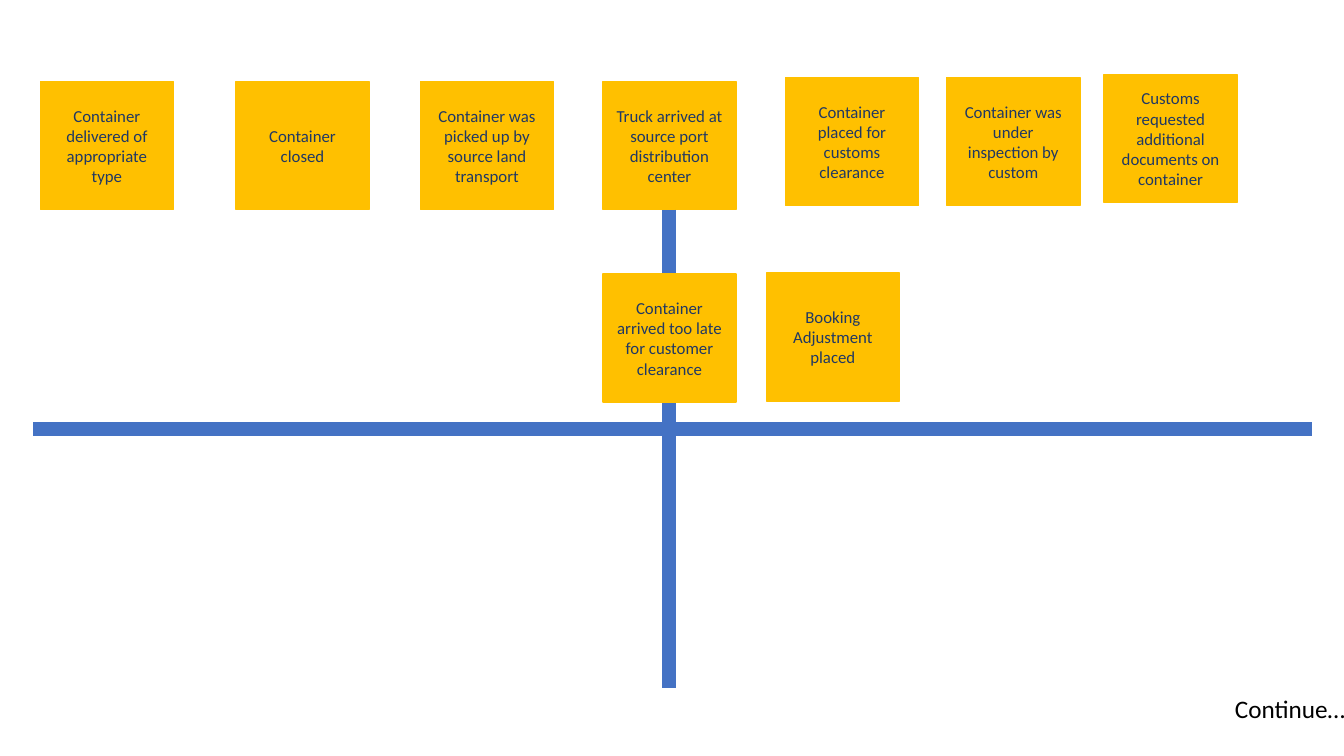
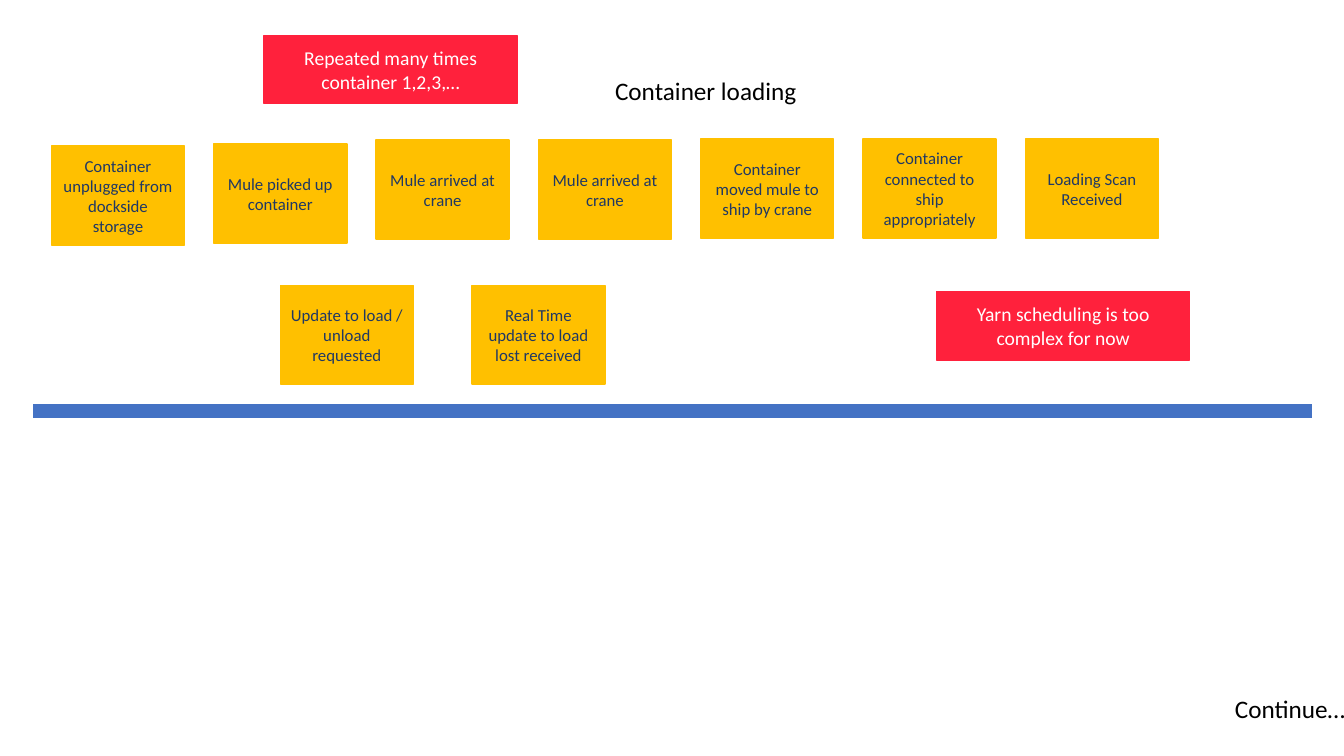
from lxml import etree
from pptx import Presentation, util as u
from pptx.dml.color import RGBColor
from pptx.enum import shapes, text
from pptx.oxml.ns import qn

PX = 9144  # EMU per px, 100 px to the inch
TITLE_ONLY, BLANK = 5, 6
AMBER, RED, BLUE = "FFC000", "FF213C", "4472C4"
NAVY, WHITE, BLACK = "203864", "FFFFFF", "000000"
NOTE_WIDTH = 132


def px(*lengths):
    return [u.Emu(length * PX) for length in lengths]


def color(value):
    return RGBColor.from_string(value)


class Board:
    """Holds the deck, its style and the page being filled."""
    font = "Calibri"

    def __init__(self, width, height):
        self.deck = Presentation()
        self.deck.slide_width, self.deck.slide_height = px(width, height)
        self.page = None

    def new_page(self, layout):
        self.page = self.deck.slides.add_slide(self.deck.slide_layouts[layout])
        self.label("Continue…", 1215, 683, 133, 40)

    def add_words(self, box, words, size, ink, align):
        para = box.text_frame.paragraphs[0]
        para.alignment = align
        span = para.add_run()
        span.text = words
        span.font.name = self.font
        span.font.size = u.Pt(size)
        span.font.color.rgb = color(ink)

    def style_line_of_text(self, box, words):
        """Format a box as one unwrapped line of large text."""
        frame = box.text_frame
        frame.word_wrap = False
        frame.auto_size = text.MSO_AUTO_SIZE.SHAPE_TO_FIT_TEXT
        frame.vertical_anchor = text.MSO_ANCHOR.TOP
        self.add_words(box, words, 18, BLACK, text.PP_ALIGN.LEFT)

    def label(self, words, *place):
        box = self.page.shapes.add_textbox(*px(*place))
        self.style_line_of_text(box, words)

    def title(self, words, *place):
        box = self.page.shapes.title
        box.left, box.top, box.width, box.height = px(*place)
        self.style_line_of_text(box, words)

    def card(self, words, place, fill, size, ink):
        box = self.page.shapes.add_shape(shapes.MSO_SHAPE.RECTANGLE, *px(*place))
        box.shadow.inherit = False
        box.fill.solid()
        box.fill.fore_color.rgb = color(fill)
        box.line.color.rgb = color(fill)
        box.line.width = u.Pt(1)
        box.text_frame.word_wrap = True
        box.text_frame.vertical_anchor = text.MSO_ANCHOR.MIDDLE
        self.add_words(box, words, size, ink, text.PP_ALIGN.CENTER)

    def event(self, words, left, top, height):
        self.card(words, (left, top, NOTE_WIDTH, height), AMBER, 12, NAVY)

    def remark(self, words, left, top):
        self.card(words, (left, top, 251, 68), RED, 14, WHITE)

    def bar(self, *ends):
        line = self.page.shapes.add_connector(shapes.MSO_CONNECTOR.STRAIGHT, *px(*ends))
        line.line.color.rgb = color(BLUE)
        line.line.width = u.Pt(10)
        etree.SubElement(line._element.spPr, qn("a:effectLst"))

    def timeline(self, y):
        self.bar(33, y, 1301, y)


def customs_page(board):
    height = 127
    board.new_page(BLANK)
    board.timeline(426)
    for left, top, words in (
        (40, 81, "Container delivered of appropriate type"),
        (234, 81, "Container closed"),
        (417, 81, "Container was picked up by source land transport"),
        (598, 81, "Truck arrived at source port distribution center"),
        (779, 77, "Container placed for customs clearance"),
        (939, 77, "Container was under inspection by custom"),
        (1095, 74, "Customs requested additional documents on container"),
    ):
        board.event(words, left, top, height)
    board.bar(664, 208, 664, 683)
    board.event("Container arrived too late for customer clearance", 598, 272, height)
    board.event("Booking Adjustment placed", 760, 271, height)


def loading_page(board):
    height, step = 98, 161
    board.new_page(TITLE_ONLY)
    board.title("Container loading", 600, 70, 202, 40)
    for column, (top, words) in enumerate((
        (145, "Container unplugged from dockside storage"),
        (143, "Mule picked up container"),
        (139, "Mule arrived at crane"),
        (139, "Mule arrived at crane"),
        (138, "Container moved mule to ship by crane"),
        (138, "Container connected to ship appropriately"),
        (138, "Loading Scan Received"),
    )):
        board.event(words, 51 + column * step, top, height)
    board.event("Update to load / unload requested", 278, 283, height)
    board.event("Real Time update to load lost received", 468, 283, height)
    board.remark("Repeated many times container 1,2,3,…", 262, 35)
    board.remark("Yarn scheduling is too complex for now", 929, 289)
    board.timeline(408)


def main():
    board = Board(1333, 750)
    customs_page(board)
    loading_page(board)
    board.deck.save("out.pptx")


if __name__ == "__main__":
    main()
